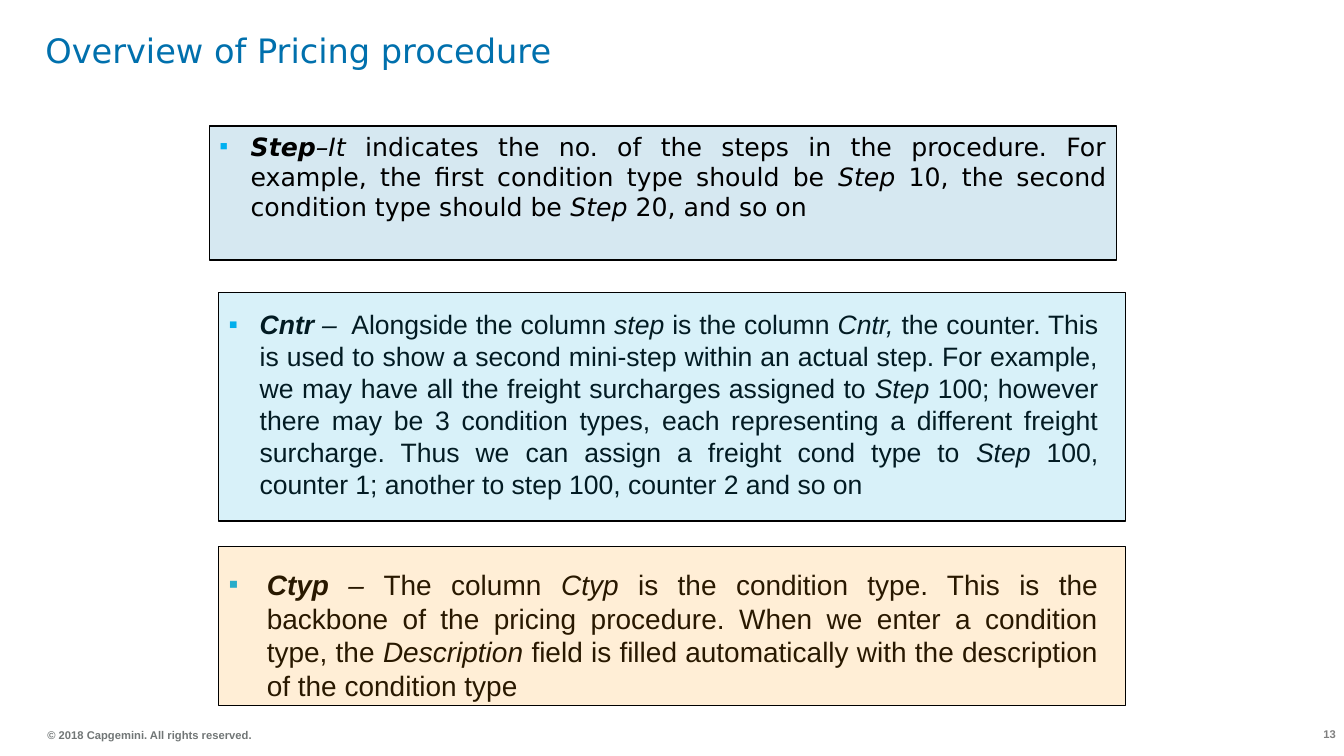
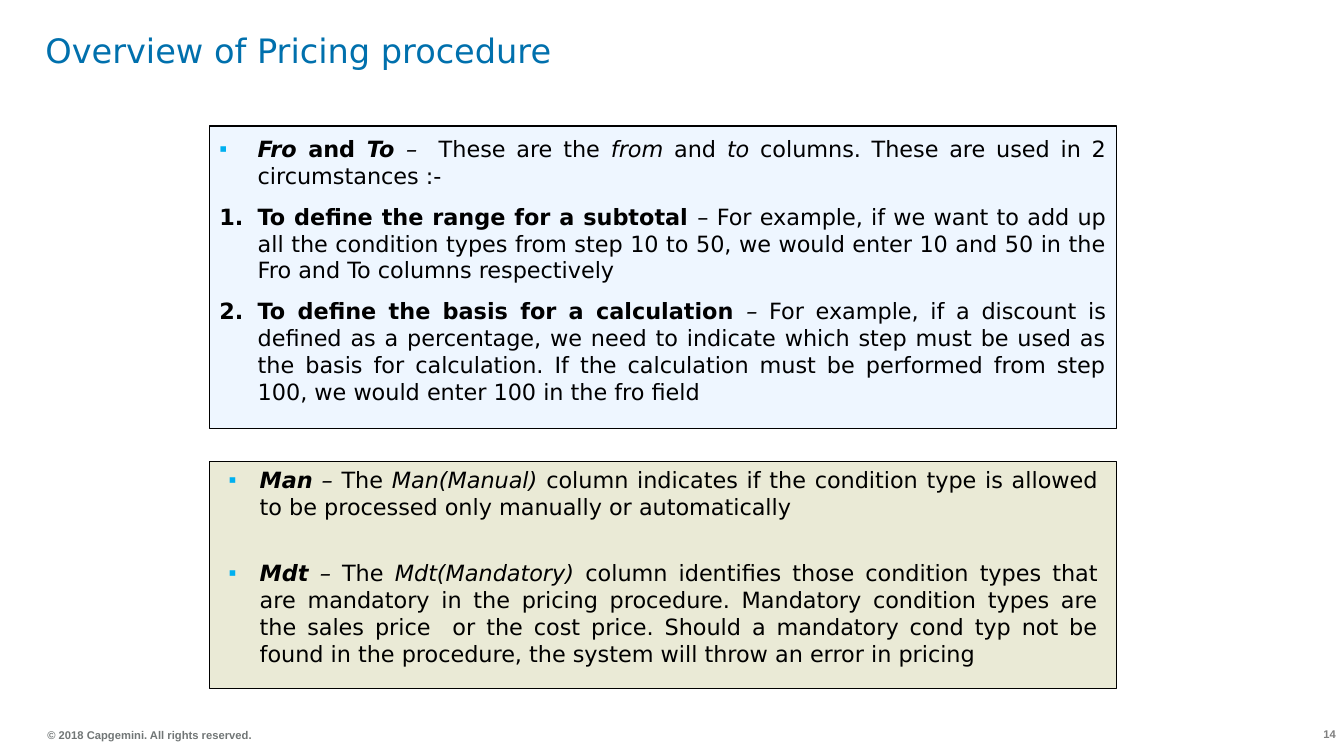
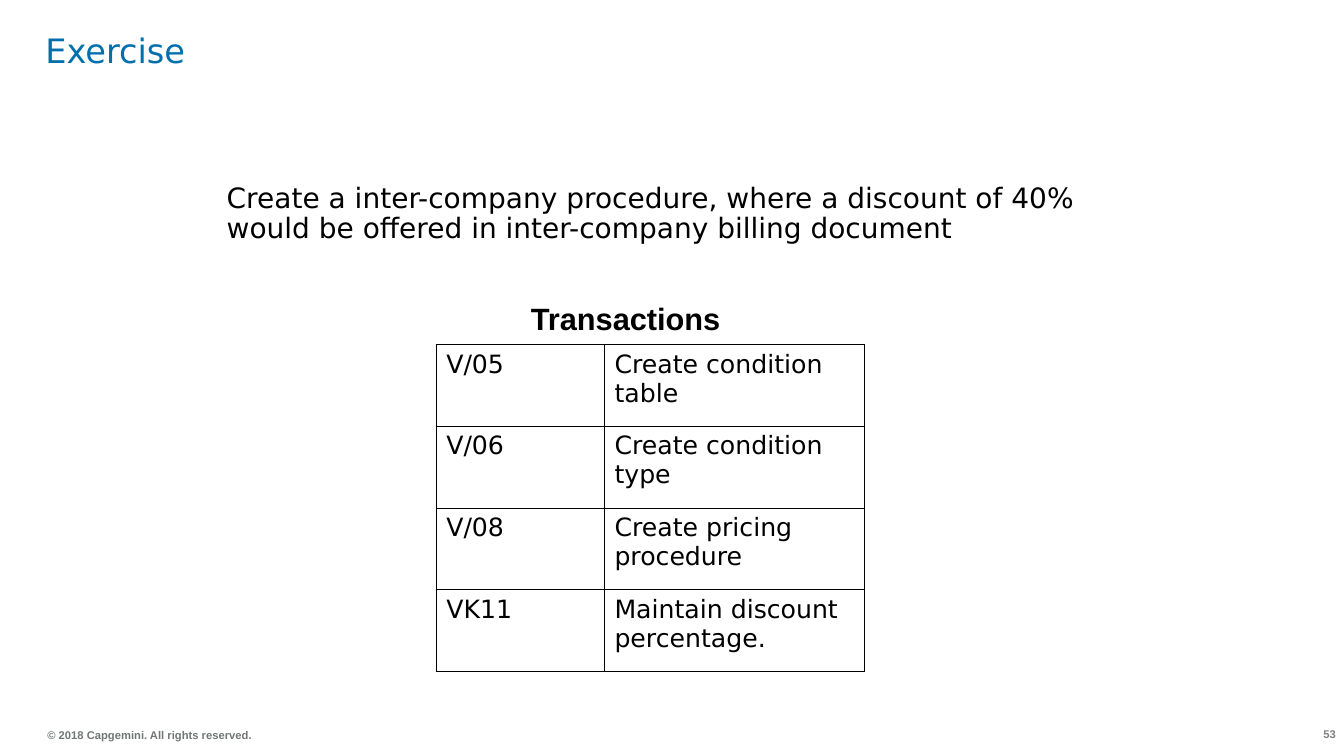
from dataclasses import dataclass
from typing import Any, NamedTuple

from lxml import etree
from pptx import Presentation
from pptx.dml.color import RGBColor
from pptx.enum.shapes import MSO_SHAPE
from pptx.enum.text import MSO_ANCHOR, MSO_AUTO_SIZE, PP_ALIGN
from pptx.oxml.ns import qn
from pptx.slide import Slide
from pptx.table import _Cell
from pptx.text.text import TextFrame, _Paragraph
from pptx.util import Inches, Pt

RECTANGLE = MSO_SHAPE.RECTANGLE
TOP, MIDDLE = MSO_ANCHOR.TOP, MSO_ANCHOR.MIDDLE
NO_AUTOFIT = MSO_AUTO_SIZE.NONE
LEFT, CENTER, RIGHT, JUSTIFY = (
    PP_ALIGN.LEFT, PP_ALIGN.CENTER, PP_ALIGN.RIGHT, PP_ALIGN.JUSTIFY)

COLORS = {
    "text": "000000",
    "title": "0070AD",
    "bullet": "00B0F0",
    "copyright": "717676",
    "page": "7F7F7F",
    "step": "0070AD",
    "counter": "12ABDB",
    "type": "FF9900",
    "range": "99CCFF",
    "flags": "808000",
}
SANS, ARIAL = "DejaVu Sans", "Arial"
TITLE_ONLY = 5
PANEL_OPACITY = 16
PANEL_WIDTH = 9
OUTER_BORDER, INNER_BORDER = 1.08, 0.45
COPYRIGHT = "© 2018 Capgemini. All rights reserved."


class Box(NamedTuple):
    left: float
    top: float
    width: float
    height: float

    def lengths(self) -> list[int]:
        return [Inches(value) for value in self]


class Span(NamedTuple):
    text: str
    style: str = ""


@dataclass(frozen=True)
class Point:
    spans: tuple[Span, ...]
    numbered: bool = False


@dataclass(frozen=True)
class Panel:
    box: Box
    color: str


@dataclass(frozen=True)
class Note:
    box: Box
    points: tuple[Point, ...]
    font: str = SANS
    size: int = 16
    indent: float = 0.31


@dataclass(frozen=True)
class Overview:
    page: int
    items: tuple[Panel | Note, ...]


OVERVIEWS = (
    Overview(13, (
        Panel(Box(2.08, 1.25, PANEL_WIDTH, 1.33), "step"),
        Note(Box(2.08, 1.25, 9, 1), (Point((
            Span("Step", "bi"),
            Span("–It", "i"),
            Span(" indicates the no. of the steps in the procedure. For example, "
                 "the first condition type should be "),
            Span("Step ", "i"),
            Span("10, the second condition type should be "),
            Span("Step ", "i"),
            Span("20, and so on"),
        )),), size=18),
        Note(Box(2.17, 3.01, 8.83, 2), (Point((
            Span("Cntr", "bi"),
            Span(" – ", "i"),
            Span(" Alongside the column "),
            Span("step ", "i"),
            Span("is the column "),
            Span("Cntr, ", "i"),
            Span("the counter. This is used to show a second mini-step within an "
                 "actual step. For example, we may have all the freight surcharges "
                 "assigned to "),
            Span("Step", "i"),
            Span(" 100; however there may be 3 condition types, each representing "
                 "a different freight surcharge. Thus we can assign a freight cond "
                 "type to "),
            Span("Step", "i"),
            Span(" 100, counter 1; another to step 100, counter 2 and so on"),
        )),), ARIAL, 19),
        Note(Box(2.17, 5.58, 8.83, 1.44), (Point((
            Span("Ctyp", "bi"),
            Span(" – ", "i"),
            Span("The column "),
            Span("Ctyp ", "i"),
            Span("is the condition type. This is the backbone of the pricing "
                 "procedure. When we enter a condition type, the "),
            Span("Description ", "i"),
            Span("field is filled automatically with the description of the "
                 "condition type"),
        )),), ARIAL, 20, 0.38),
        Panel(Box(2.17, 2.9, PANEL_WIDTH, 2.27), "counter"),
        Panel(Box(2.17, 5.42, PANEL_WIDTH, 1.58), "type"),
    )),
    Overview(14, (
        Panel(Box(2.08, 4.58, PANEL_WIDTH, 2.25), "flags"),
        Panel(Box(2.08, 1.25, PANEL_WIDTH, 3), "range"),
        Note(Box(2.08, 1.29, 9, 2.78), (
            Point((
                Span("Fro ", "bi"),
                Span("and ", "b"),
                Span("To ", "bi"),
                Span("– ", "i"),
                Span(" These are the "),
                Span("from", "i"),
                Span(" and "),
                Span("to", "i"),
                Span(" columns. These are used in 2 circumstances :-"),
            )),
            Point((
                Span("To define the range for a subtotal ", "b"),
                Span("– For example, if we want to add up all the condition types "
                     "from step 10 to 50, we would enter 10 and 50 in the Fro and "
                     "To columns respectively"),
            ), True),
            Point((
                Span("To define the basis for a calculation ", "b"),
                Span("– ", "i"),
                Span("For example, if a discount is defined as a percentage, we "
                     "need to indicate which step must be used as the basis for "
                     "calculation. If the calculation must be performed from step "
                     "100, we would enter 100 in the fro field"),
            ), True),
        ), indent=0.38),
        Note(Box(2.17, 4.58, 8.83, 0.64), (Point((
            Span("Man", "bi"),
            Span(" – ", "i"),
            Span("The "),
            Span("Man(Manual) ", "i"),
            Span("column indicates if the condition type is allowed to be "
                 "processed only manually or automatically"),
        )),)),
        Note(Box(2.17, 5.5, 8.83, 1.17), (Point((
            Span("Mdt", "bi"),
            Span(" – ", "i"),
            Span("The "),
            Span("Mdt(Mandatory) ", "i"),
            Span("column identifies those condition types that are mandatory in "
                 "the pricing procedure. Mandatory condition types are the sales "
                 "price  or the cost price. Should a mandatory cond typ not be "
                 "found in the procedure, the system will throw an error in pricing"),
        )),)),
    )),
)

TRANSACTIONS = (
    ("V/05", "Create condition table"),
    ("V/06", "Create condition type"),
    ("V/08", "Create pricing procedure"),
    ("VK11", "Maintain discount percentage."),
)
TRANSACTION_COLUMNS = (1.67, 2.58)
TRANSACTION_ROW = 0.81


def rgb(color: str) -> RGBColor:
    return RGBColor.from_string(COLORS[color])


def apply(target: Any, values: dict[str, Any]) -> None:
    for name, value in values.items():
        setattr(target, name, value)


def write(paragraph: _Paragraph, spans: tuple[Span, ...], size: int,
          font: str = SANS, color: str = "text") -> None:
    for span in spans:
        run = paragraph.add_run()
        run.text = span.text
        apply(run.font, {
            "name": font,
            "size": Pt(size),
            "bold": "b" in span.style,
            "italic": "i" in span.style,
        })
        run.font.color.rgb = rgb(color)


def set_frame(frame: TextFrame, side: float = 0.1, edge: float = 0.05,
              anchor: MSO_ANCHOR = TOP) -> None:
    apply(frame, {
        "word_wrap": True,
        "auto_size": NO_AUTOFIT,
        "vertical_anchor": anchor,
        "margin_left": Inches(side),
        "margin_right": Inches(side),
        "margin_top": Inches(edge),
        "margin_bottom": Inches(edge),
    })


def add_line(slide: Slide, box: Box, span: Span, size: int, font: str = SANS,
             color: str = "text", align: PP_ALIGN = LEFT, side: float = 0.1,
             edge: float = 0.05, anchor: MSO_ANCHOR = TOP) -> _Paragraph:
    frame = slide.shapes.add_textbox(*box.lengths()).text_frame
    set_frame(frame, side, edge, anchor)
    paragraph = frame.paragraphs[0]
    paragraph.alignment = align
    write(paragraph, (span,), size, font, color)
    return paragraph


def add_bullet(paragraph: _Paragraph, indent: float, numbered: bool) -> None:
    properties = paragraph._p.get_or_add_pPr()
    properties.set("marL", str(Inches(indent)))
    properties.set("indent", str(-Inches(indent)))
    tint = etree.SubElement(properties, qn("a:buClr"))
    etree.SubElement(tint, qn("a:srgbClr"),
                     val=COLORS["text" if numbered else "bullet"])
    if numbered:
        etree.SubElement(properties, qn("a:buAutoNum"), type="arabicPeriod")
    else:
        etree.SubElement(properties, qn("a:buFont"), typeface=ARIAL)
        etree.SubElement(properties, qn("a:buChar"), char="▪")


def add_panel(slide: Slide, panel: Panel) -> None:
    shape = slide.shapes.add_shape(RECTANGLE, *panel.box.lengths())
    shape.shadow.inherit = False
    shape.fill.solid()
    shape.fill.fore_color.rgb = rgb(panel.color)
    tint = shape._element.spPr.find(f"{qn('a:solidFill')}/{qn('a:srgbClr')}")
    etree.SubElement(tint, qn("a:alpha"), val=str(PANEL_OPACITY * 1000))
    shape.line.color.rgb = rgb("text")
    shape.line.width = Pt(1)


def add_note(slide: Slide, note: Note) -> None:
    frame = slide.shapes.add_textbox(*note.box.lengths()).text_frame
    set_frame(frame)
    for index, point in enumerate(note.points):
        paragraph = frame.add_paragraph() if index else frame.paragraphs[0]
        add_bullet(paragraph, note.indent, point.numbered)
        apply(paragraph, {
            "alignment": JUSTIFY,
            "space_before": Pt(10 if index else 0),
        })
        write(paragraph, point.spans, note.size, note.font)


def add_titled_slide(deck: Any, heading: str, page: int) -> Slide:
    slide = deck.slides.add_slide(deck.slide_layouts[TITLE_ONLY])
    title = slide.shapes.title
    places = ("left", "top", "width", "height")
    apply(title, dict(zip(places, Box(0.45, 0.28, 12.41, 0.94).lengths())))
    set_frame(title.text_frame, 0, 0)
    paragraph = title.text_frame.paragraphs[0]
    apply(paragraph, {"alignment": LEFT, "line_spacing": Pt(30)})
    write(paragraph, (Span(heading),), 24, color="title")
    add_line(slide, Box(0.47, 7.17, 2.43, 0.24), Span(COPYRIGHT, "b"), 8, ARIAL,
             "copyright", side=0, edge=0, anchor=MIDDLE)
    add_line(slide, Box(12.6, 7.17, 0.74, 0.24), Span(str(page), "b"), 8, ARIAL,
             "page", RIGHT, side=0.08)
    return slide


def set_borders(cell: _Cell, widths: dict[str, float]) -> None:
    properties = cell._tc.get_or_add_tcPr()
    for side, width in widths.items():
        line = etree.SubElement(properties, qn(f"a:ln{side}"), w=str(Pt(width)))
        fill = etree.SubElement(line, qn("a:solidFill"))
        etree.SubElement(fill, qn("a:srgbClr"), val=COLORS["text"])


def add_transactions(slide: Slide) -> None:
    last = len(TRANSACTIONS) - 1
    box = Box(4.33, 3.42, sum(TRANSACTION_COLUMNS),
              TRANSACTION_ROW * len(TRANSACTIONS))
    table = slide.shapes.add_table(
        len(TRANSACTIONS), len(TRANSACTION_COLUMNS), *box.lengths()).table
    apply(table, {"first_row": False, "horz_banding": False})
    for column, width in zip(table.columns, TRANSACTION_COLUMNS):
        column.width = Inches(width)
    for row, texts in enumerate(TRANSACTIONS):
        table.rows[row].height = Inches(TRANSACTION_ROW)
        for column, text in enumerate(texts):
            cell = table.cell(row, column)
            set_borders(cell, {
                "L": INNER_BORDER if column else OUTER_BORDER,
                "R": INNER_BORDER,
                "T": INNER_BORDER if row else OUTER_BORDER,
                "B": OUTER_BORDER if row == last else INNER_BORDER,
            })
            cell.fill.background()
            write(cell.text_frame.paragraphs[0], (Span(text),), 18)


def add_exercise(deck: Any) -> None:
    slide = add_titled_slide(deck, "Exercise", 53)
    task = add_line(
        slide, Box(2.25, 1.83, 8.53, 0.8),
        Span("Create a inter-company procedure, where a discount of 40% would be "
             "offered in inter-company billing document"),
        20, side=0, edge=0)
    task.line_spacing = 0.9
    add_transactions(slide)
    add_line(slide, Box(4.67, 2.92, 3.08, 0.47), Span("Transactions", "b"), 22,
             ARIAL, align=CENTER)


def main() -> None:
    deck = Presentation()
    apply(deck, {"slide_width": Inches(13.34), "slide_height": Inches(7.5)})
    for overview in OVERVIEWS:
        slide = add_titled_slide(deck, "Overview of Pricing procedure", overview.page)
        for item in overview.items:
            if isinstance(item, Panel):
                add_panel(slide, item)
            else:
                add_note(slide, item)
    add_exercise(deck)
    deck.save("out.pptx")


if __name__ == "__main__":
    main()
